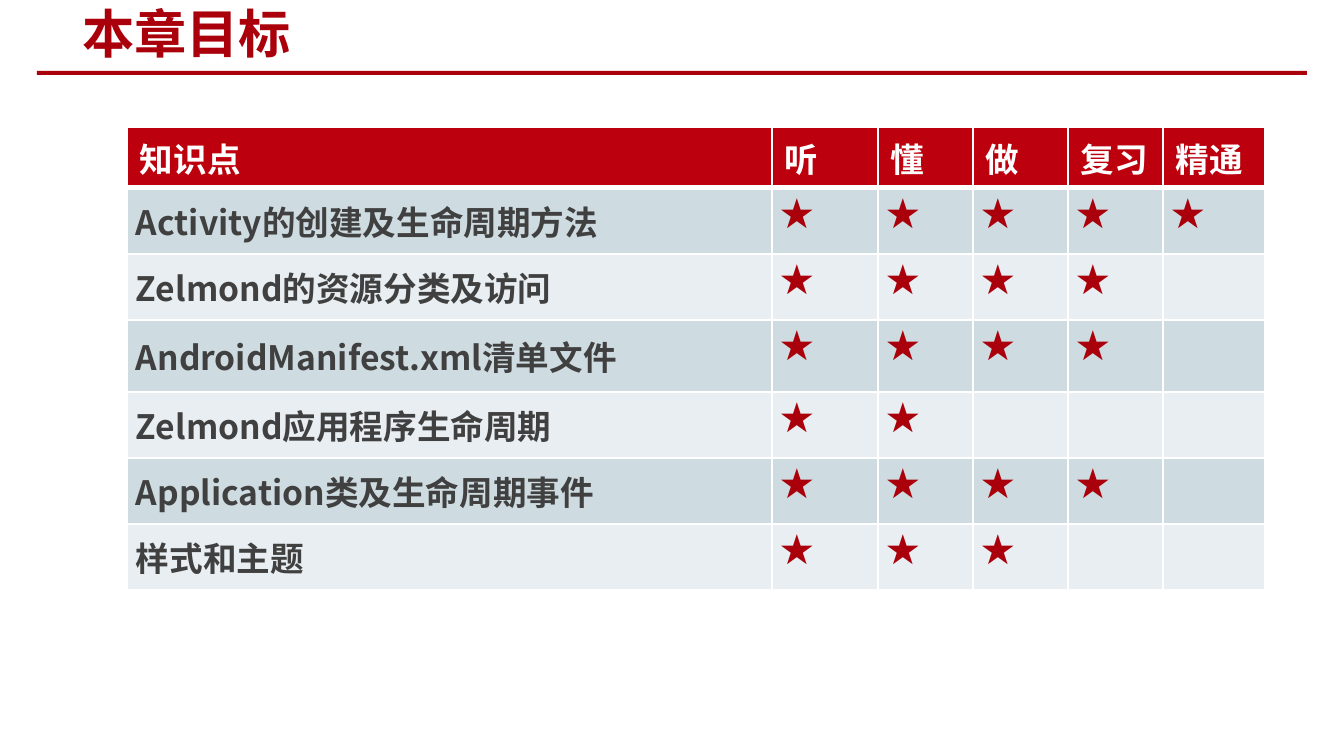
from typing import NamedTuple

from lxml import etree
from pptx import Presentation
from pptx.dml.color import RGBColor
from pptx.enum.shapes import MSO_SHAPE
from pptx.enum.text import MSO_ANCHOR
from pptx.oxml.ns import qn
from pptx.util import Pt

RECT = MSO_SHAPE.RECTANGLE
TOP, MIDDLE = MSO_ANCHOR.TOP, MSO_ANCHOR.MIDDLE

SLIDE_W, SLIDE_H = 1344, 756
EMU_PER_PX = 9144000 / SLIDE_W
FONT = "Noto Sans CJK SC"
RED, HEADER_RED, GREY, WHITE = "AA000B", "BC000D", "404040", "FFFFFF"
BANDS = ("CEDCE1", "E8EEF1")
STAR = "★"

HEADERS = ("知识点", "听", "懂", "做", "复习", "精通")
COL_WIDTHS = (645, 106, 95, 95, 95, 102)
HEADER_HEIGHT = 61


class Topic(NamedTuple):
    name: str
    stars: int
    height: int = 66


class CellStyle(NamedTuple):
    fill: str
    color: str
    anchor: MSO_ANCHOR
    margin_x: int
    margin_y: int
    top_line: int = 1
    bottom_line: int = 1


TOPICS = (
    Topic("Activity的创建及生命周期方法", 5),
    Topic("Zelmond的资源分类及访问", 4),
    Topic("AndroidManifest.xml清单文件", 4, 72),
    Topic("Zelmond应用程序生命周期", 2),
    Topic("Application类及生命周期事件", 4),
    Topic("样式和主题", 3),
)


def px(n: int) -> int:
    return round(n * EMU_PER_PX)


def rgb(value: str) -> RGBColor:
    return RGBColor.from_string(value)


def set_attrs(obj, values: dict) -> None:
    for name, value in values.items():
        setattr(obj, name, value)


def write(tf, text: str, size: int, color: str) -> None:
    p = tf.paragraphs[0]
    if not text:
        p.font.size = Pt(size)
        return
    r = p.add_run()
    r.text = text
    set_attrs(r.font, {"name": FONT, "size": Pt(size), "bold": True})
    r.font.color.rgb = rgb(color)
    for tag in ("a:ea", "a:sym"):
        etree.SubElement(r.font._element, qn(tag), typeface=FONT)


def add_borders(cell, widths: dict[str, int]) -> None:
    tc_pr = cell._tc.get_or_add_tcPr()
    for side, width in widths.items():
        ln = etree.SubElement(tc_pr, qn(f"a:ln{side}"), w=str(Pt(width)))
        fill = etree.SubElement(ln, qn("a:solidFill"))
        etree.SubElement(fill, qn("a:srgbClr"), val=WHITE)


def fill_cell(cell, text: str, style: CellStyle) -> None:
    add_borders(cell, {"L": 1, "R": 1, "T": style.top_line, "B": style.bottom_line})
    cell.fill.solid()
    cell.fill.fore_color.rgb = rgb(style.fill)
    set_attrs(cell, {
        "vertical_anchor": style.anchor,
        "margin_left": px(style.margin_x), "margin_right": px(style.margin_x),
        "margin_top": px(style.margin_y), "margin_bottom": px(style.margin_y),
    })
    write(cell.text_frame, text, 18, style.color)


def add_title(slide, text: str) -> None:
    tf = slide.shapes.add_textbox(px(69), px(3), px(712), px(60)).text_frame
    set_attrs(tf, {"word_wrap": True, "vertical_anchor": MIDDLE,
                   "margin_top": 0, "margin_bottom": 0})
    write(tf, text, 28, RED)


def add_title_rule(slide) -> None:
    sp = slide.shapes.add_shape(RECT, px(37), px(71), px(1270), px(4))
    sp.shadow.inherit = False
    sp.fill.solid()
    sp.fill.fore_color.rgb = rgb(RED)
    sp.line.fill.background()


def add_topic_table(slide) -> None:
    heights = [HEADER_HEIGHT] + [topic.height for topic in TOPICS]
    table = slide.shapes.add_table(
        len(heights), len(COL_WIDTHS), px(127), px(127),
        px(sum(COL_WIDTHS)), px(sum(heights))).table
    for col, width in zip(table.columns, COL_WIDTHS):
        col.width = px(width)
    for row, height in zip(table.rows, heights):
        row.height = px(height)

    header = CellStyle(HEADER_RED, WHITE, TOP, 13, 7, bottom_line=3)
    for c, text in enumerate(HEADERS):
        fill_cell(table.cell(0, c), text, header)
    for i, topic in enumerate(TOPICS):
        name = CellStyle(BANDS[i % 2], GREY, MIDDLE, 9, 0, top_line=1 if i else 3)
        mark = name._replace(color=RED, anchor=TOP)
        fill_cell(table.cell(i + 1, 0), topic.name, name)
        for c in range(1, len(HEADERS)):
            fill_cell(table.cell(i + 1, c), STAR if c <= topic.stars else "", mark)


def main() -> None:
    prs = Presentation()
    set_attrs(prs, {"slide_width": px(SLIDE_W), "slide_height": px(SLIDE_H)})
    slide = prs.slides.add_slide(prs.slide_layouts[6])
    add_title_rule(slide)
    add_title(slide, "本章目标")
    add_topic_table(slide)
    prs.save("out.pptx")


if __name__ == "__main__":
    main()
